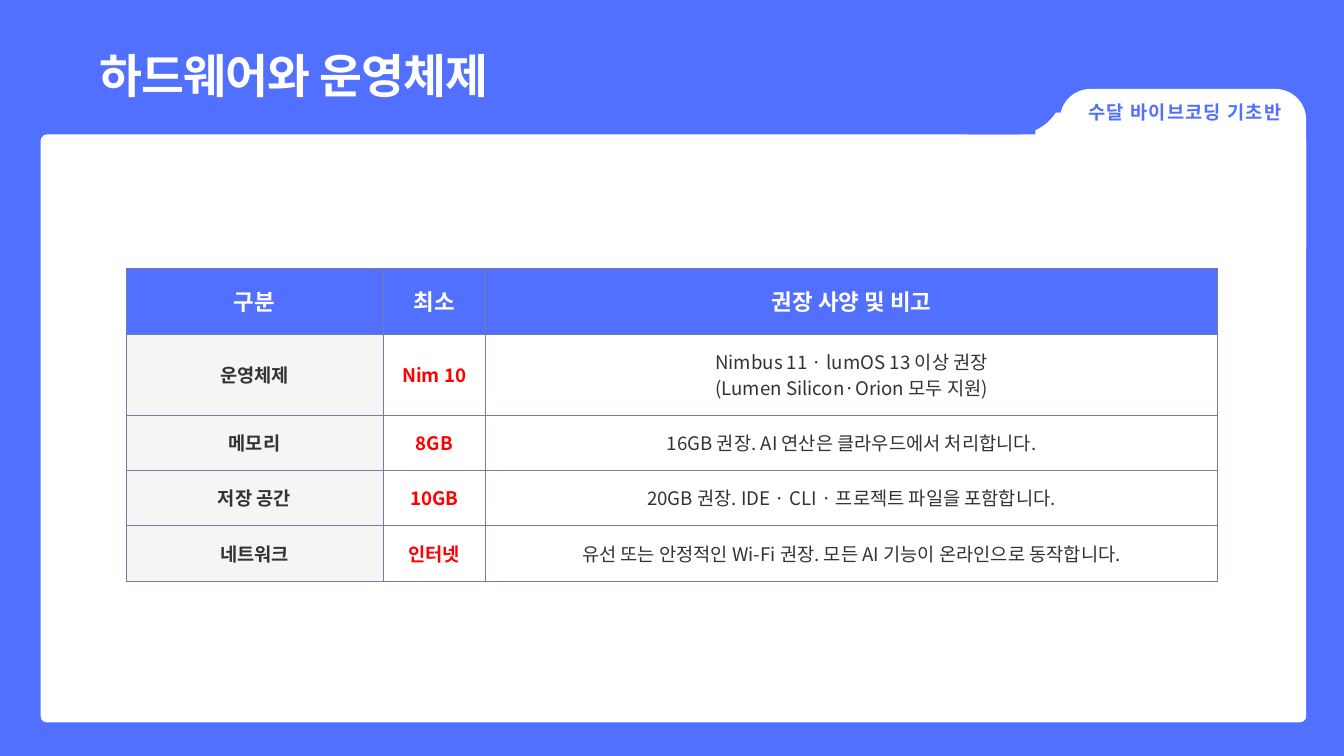
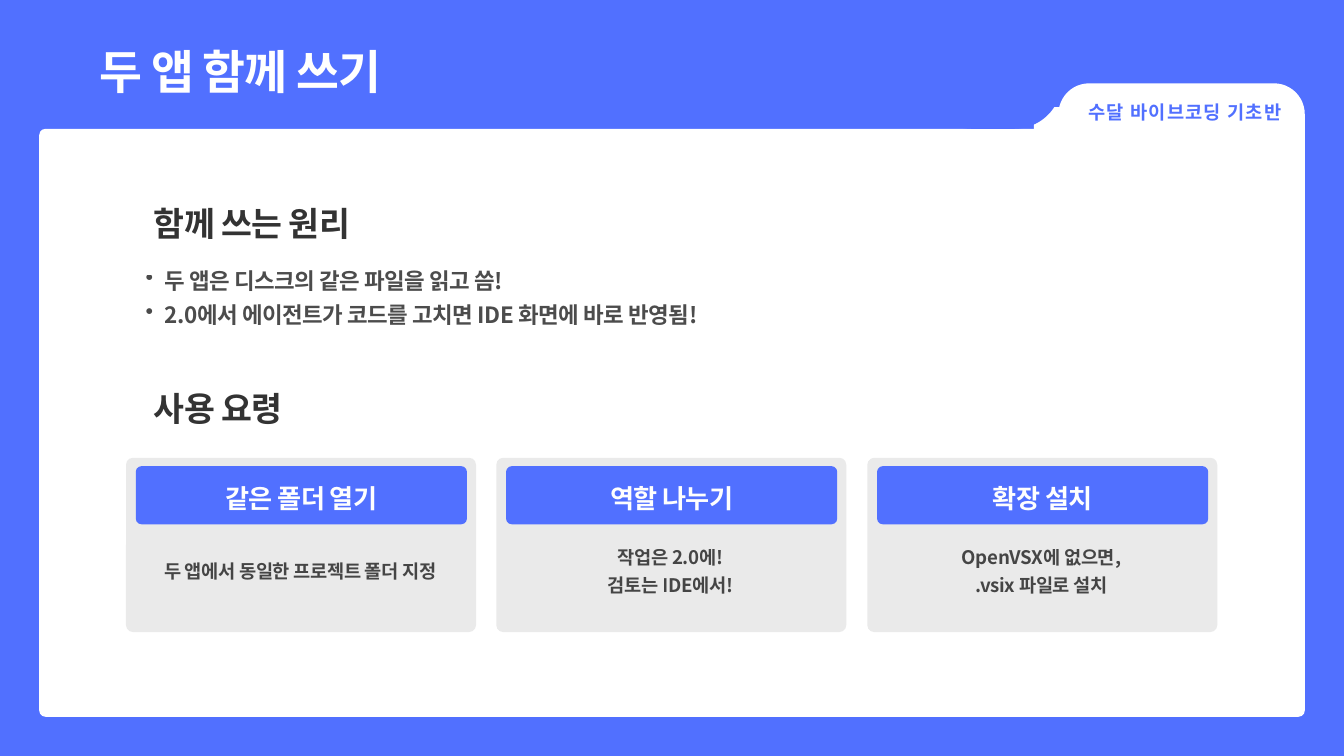
from lxml.etree import SubElement as Sub
from pptx import Presentation
from pptx.dml.color import RGBColor
from pptx.enum.shapes import MSO_SHAPE as Form
from pptx.enum.text import MSO_ANCHOR as Anchor, MSO_AUTO_SIZE as Auto, PP_ALIGN as Align
from pptx.oxml import parse_xml
from pptx.oxml.ns import nsdecls, qn
from pptx.util import Emu, Pt

BLUE, WHITE, SOFT = "5170FF", "FFFFFF", "FEFEFE"
INK, RED, PALE, GRAY, EDGE = "333333", "FF0000", "F5F5F5", "EAEAEA", "747EA3"
BLACK = "000000"
FONT = "Noto Sans CJK KR"
COURSE = "수달 바이브코딩 기초반"


def px(num):
    """Turn px into EMU, 96 px to the inch."""
    return Emu(num * 9525)


def paint(fill, tone):
    """Fill with one solid hex colour."""
    fill.solid()
    fill.fore_color.rgb = RGBColor.from_string(tone)


def write(frame, text, size=20, tone=INK, bold=True, lead=28, track=0,
          align=Align.LEFT, alpha=None, dot=False):
    """Put each line of text in its own formatted paragraph."""
    for num, line in enumerate(text.split("\n")):
        para = frame.add_paragraph() if num else frame.paragraphs[0]
        if dot:
            para.level = 1
            props = para._p.get_or_add_pPr()
            props.set("marL", str(px(55)))
            props.set("indent", str(px(-27)))
            Sub(props, qn("a:buChar"), char="•")
        para.alignment = align
        para.line_spacing = Pt(lead)
        run = para.add_run()
        run.text = line
        font = run.font
        font.size, font.bold, font.name = Pt(size), bold, FONT
        paint(font.fill, tone)
        props = run._r.get_or_add_rPr()
        Sub(props, qn("a:ea"), typeface=FONT)
        if track:
            props.set("spc", str(round(track * 100)))
        if alpha:
            shade = props.find(qn("a:solidFill"))[0]
            Sub(shade, qn("a:alpha"), val=str(alpha * 1000))


class Deck:
    """Hold the style and the current slide."""

    def __init__(self):
        """Start a wide blank deck."""
        self.show = Presentation()
        self.show.slide_width, self.show.slide_height = px(1920), px(1080)
        self.slide = None

    def page(self, title, top, left, head):
        """Add a slide with its title, white folder and course tab."""
        self.slide = self.show.slides.add_slide(self.show.slide_layouts[5])
        paint(self.slide.background.fill, BLUE)
        name = self.slide.shapes.title
        name.left, name.top, name.width, name.height = map(px, (142, head, 1291, 74))
        self.fit(name.text_frame)
        write(name.text_frame, title, size=50, tone=WHITE, lead=51, track=-1)
        self.box(left, top, 1808, 840, WHITE, 9)
        self.box(left + 1456, top - 65, 352, 268, WHITE, 44)
        self.box(left + 1421, top - 31, 188, 147, WHITE)
        self.box(left + 1264, top - 136, 197, 136, BLUE, 68)
        self.text(COURSE, 1543, 142, 300, 35, tone=BLUE, lead=25.4,
                  track=1.2, align=Align.CENTER)

    def fit(self, frame):
        """Clear the insets and let the frame wrap and grow."""
        frame.margin_left = frame.margin_right = 0
        frame.margin_top = frame.margin_bottom = 0
        frame.word_wrap = True
        frame.auto_size = Auto.SHAPE_TO_FIT_TEXT
        frame.vertical_anchor = Anchor.TOP

    def box(self, left, top, wide, high, tone, curve=0):
        """Draw a plain or rounded block."""
        form = Form.ROUNDED_RECTANGLE if curve else Form.RECTANGLE
        shape = self.slide.shapes.add_shape(form, *map(px, (left, top, wide, high)))
        if curve:
            shape.adjustments[0] = curve / min(wide, high)
        shape.shadow.inherit = False
        paint(shape.fill, tone)
        shape.line.fill.background()

    def text(self, text, left, top, wide, high, **style):
        """Add a text box."""
        shape = self.slide.shapes.add_textbox(*map(px, (left, top, wide, high)))
        self.fit(shape.text_frame)
        write(shape.text_frame, text, **style)

    def cell(self, cell, text, fill, **style):
        """Fill, frame and write one table cell."""
        cell.margin_left = cell.margin_right = px(20)
        cell.margin_top = cell.margin_bottom = px(20)
        cell.vertical_anchor = Anchor.MIDDLE
        if fill:
            paint(cell.fill, fill)
        else:
            cell.fill.background()
        props = cell._tc.get_or_add_tcPr()
        for num, side in enumerate("LRTB"):
            props.insert(num, parse_xml(
                f'<a:ln{side} {nsdecls("a")} w="{Pt(0.75)}"><a:solidFill>'
                f'<a:srgbClr val="{EDGE}"/></a:solidFill></a:ln{side}>'))
        write(cell.text_frame, text, align=Align.CENTER, **style)

    def table(self, rows, left, top, cols, highs):
        """Add a table with a head row, a label column and a red column."""
        spot = map(px, (left, top, sum(cols), sum(highs)))
        grid = self.slide.shapes.add_table(len(rows), len(cols), *spot).table
        grid.horz_banding = False
        for col, wide in zip(grid.columns, cols):
            col.width = px(wide)
        for row, high in zip(grid.rows, highs):
            row.height = px(high)
        looks = [dict(fill=PALE), dict(fill=None, tone=RED), dict(fill=None, bold=False)]
        head = dict(fill=BLUE, size=24, tone=SOFT, lead=33.6)
        for y, row in enumerate(rows):
            for x, text in enumerate(row):
                self.cell(grid.cell(y, x), text, **(looks[x] if y else head))

    def card(self, left, top, name, body):
        """Add a gray card with a blue head and centred text."""
        self.box(left, top, 500, 249, GRAY, 10)
        self.box(left + 14, top + 12, 473, 83, BLUE, 8)
        self.text(name, left + 126, top + 25, 249, 52, size=28, tone=SOFT,
                  lead=40.9, track=-0.6, align=Align.CENTER)
        count = body.count("\n") + 1
        self.text(body, left + 39, top + 158 - 20 * count, 420, 40 * count,
                  tone=BLACK, alpha=70, lead=30, track=-0.4, align=Align.CENTER)


def main():
    """Build both slides and save them."""
    deck = Deck()
    deck.page("하드웨어와 운영체제", 192, 58, 79)
    deck.table([
        ("구분", "최소", "권장 사양 및 비고"),
        ("운영체제", "Nim 10",
         "Nimbus 11 · lumOS 13 이상 권장\n(Lumen Silicon·Orion 모두 지원)"),
        ("메모리", "8GB", "16GB 권장. AI 연산은 클라우드에서 처리합니다."),
        ("저장 공간", "10GB", "20GB 권장. IDE · CLI · 프로젝트 파일을 포함합니다."),
        ("네트워크", "인터넷",
         "유선 또는 안정적인 Wi-Fi 권장. 모든 AI 기능이 온라인으로 동작합니다."),
    ], 180, 383, (367, 147, 1045), (94, 116, 79, 79, 79))

    deck.page("두 앱 함께 쓰기", 184, 56, 73)
    for name, top in (("함께 쓰는 원리", 301), ("사용 요령", 566)):
        deck.text(name, 220, top, 371, 53, size=36, lead=34.6, track=-0.7)
    deck.text("두 앱은 디스크의 같은 파일을 읽고 씀!\n"
              "2.0에서 에이전트가 코드를 고치면 IDE 화면에 바로 반영됨!",
              180, 372, 1559, 95, size=24, tone=BLACK, alpha=70, lead=36,
              track=-0.5, dot=True)
    cards = (
        ("같은 폴더 열기", "두 앱에서 동일한 프로젝트 폴더 지정"),
        ("역할 나누기", "작업은 2.0에!\n검토는 IDE에서!"),
        ("확장 설치", "OpenVSX에 없으면,\n.vsix 파일로 설치"),
    )
    for num, (name, body) in enumerate(cards):
        deck.card(180 + num * 1059 // 2, 654, name, body)
    deck.show.save("out.pptx")


if __name__ == "__main__":
    main()
